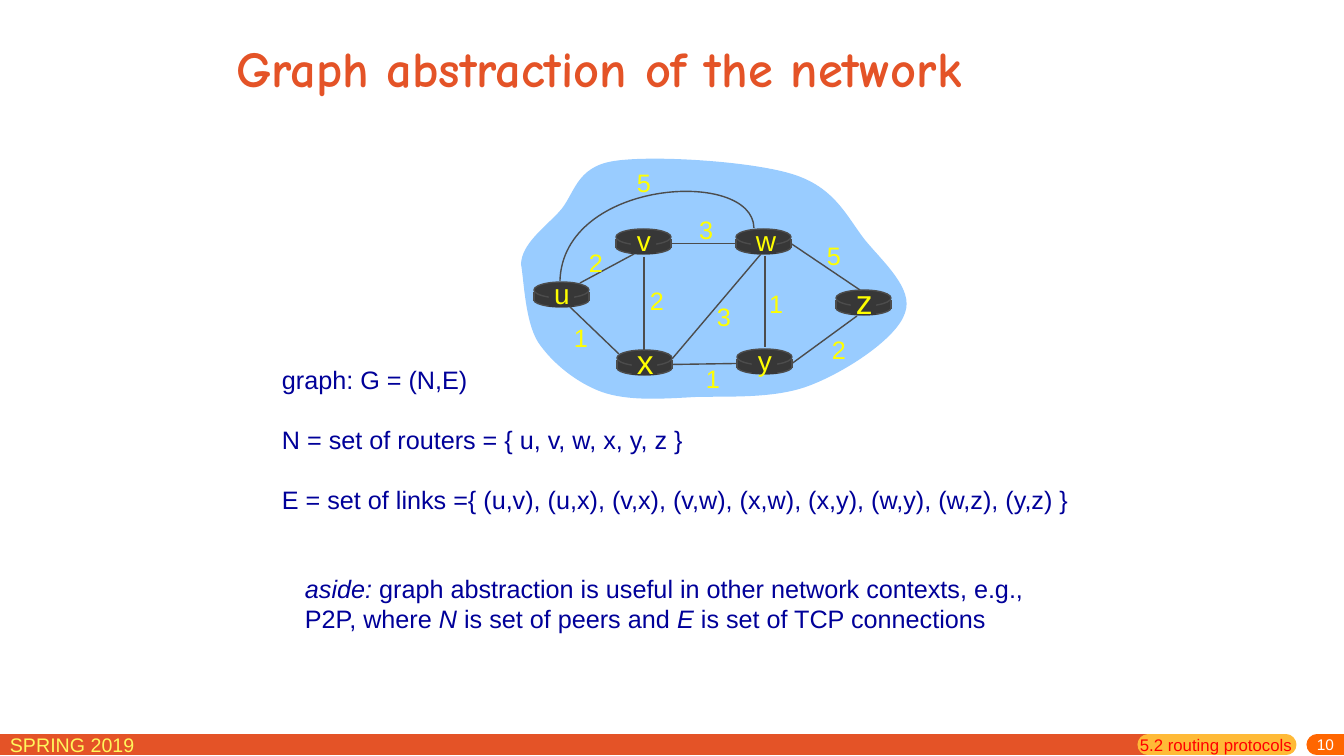
from lxml import etree
from pptx import Presentation
from pptx.dml.color import RGBColor
from pptx.enum.shapes import MSO_CONNECTOR, MSO_SHAPE
from pptx.enum.text import MSO_ANCHOR, PP_ALIGN
from pptx.oxml.ns import qn
from pptx.util import Pt

PX = 12192000 / 1344
STRAIGHT = MSO_CONNECTOR.STRAIGHT
OVAL, RECTANGLE = MSO_SHAPE.OVAL, MSO_SHAPE.RECTANGLE
LEFT, CENTER, RIGHT = PP_ALIGN.LEFT, PP_ALIGN.CENTER, PP_ALIGN.RIGHT
MIDDLE = MSO_ANCHOR.MIDDLE

ORANGE = RGBColor(0xE4, 0x53, 0x27)
AMBER = RGBColor(0xFF, 0xBA, 0x37)
BRIGHT_ORANGE = RGBColor(0xFF, 0x66, 0x00)
PALE_YELLOW = RGBColor(0xFF, 0xF6, 0x5C)
YELLOW = RGBColor(0xFF, 0xFF, 0x00)
WHITE = RGBColor(0xFF, 0xFF, 0xFF)
RED = RGBColor(0xFF, 0x00, 0x00)
NAVY = RGBColor(0x00, 0x00, 0x99)
SKY = RGBColor(0x99, 0xCC, 0xFF)
CHARCOAL = RGBColor(0x37, 0x37, 0x37)
GRAY = RGBColor(0x4C, 0x4C, 0x4C)


def add_line(start, end, color=GRAY, width=1):
    x1, y1, x2, y2 = [round(value * PX) for value in (*start, *end)]
    line = slide.shapes.add_connector(STRAIGHT, x1, y1, x2, y2)
    line.line.color.rgb = color
    line.line.width = Pt(width)
    etree.SubElement(line._element.spPr, qn("a:effectLst"))
    return line


def add_text(box, paragraphs, size, color, align=LEFT, wrap=True):
    """Add a text box; each paragraph is a list of runs, and *marked* runs are italic."""
    shape = slide.shapes.add_textbox(*[round(value * PX) for value in box])
    frame = shape.text_frame
    frame.word_wrap = wrap
    for index, runs in enumerate(paragraphs):
        paragraph = frame.paragraphs[0] if index == 0 else frame.add_paragraph()
        paragraph.alignment = align
        for text in runs:
            run = paragraph.add_run()
            run.text = text.strip("*")
            run.font.italic = text.startswith("*")
            run.font.name = "Arial"
            run.font.size = Pt(size)
            run.font.color.rgb = color
    return frame


presentation = Presentation()
presentation.slide_width = round(1344 * PX)
presentation.slide_height = round(756 * PX)
slide = presentation.slides.add_slide(presentation.slide_layouts[5])

# Title
title = slide.shapes.title
title.left, title.top, title.width, title.height = [round(v * PX) for v in (226, 23, 857, 88)]
title.text_frame.text = "Graph abstraction of the network"
title.text_frame.vertical_anchor = MIDDLE
paragraph = title.text_frame.paragraphs[0]
paragraph.alignment = LEFT
font = paragraph.runs[0].font
font.name, font.size, font.bold = "Comic Neue", Pt(36), True
font.color.rgb = ORANGE

# Footer
for left, right, color, cap in [
    (0, 1148, ORANGE, "flat"),
    (1148, 1286, AMBER, "rnd"),
    (1317, 1344, BRIGHT_ORANGE, "rnd"),
]:
    band = add_line((left, 745), (right, 745), color, 15)
    band.line._get_or_add_ln().set("cap", cap)
add_text((0, 728, 231, 31), [["SPRING 2019"]], 14, PALE_YELLOW)
number = add_text((1084, 738, 260, 18), [["10"]], 11, WHITE, RIGHT)
number.vertical_anchor = MIDDLE
number.margin_top, number.margin_bottom = 0, round(5 * PX)
add_text((1130, 730, 185, 31), [["5.2 routing protocols"]], 12, RED)

# Network cloud and the curved link u-w: a start, then two controls and an end per curve
CLOUD = [
    (521, 264), (522, 244), (543, 229), (559, 212), (575, 195), (575, 167), (614, 161),
    (652, 155), (750, 161), (792, 174), (835, 187), (847, 217), (865, 240),
    (884, 263), (914, 289), (905, 313), (897, 338), (847, 371), (811, 385),
    (776, 399), (730, 396), (695, 397), (660, 399), (628, 401), (602, 392),
    (577, 383), (552, 363), (538, 342), (525, 321), (524, 280), (521, 264),
]
ARC = [(754, 228), (753, 168), (563, 179), (560, 281)]
for curve, closed in [(CLOUD, True), (ARC, False)]:
    builder = slide.shapes.build_freeform(*curve[0], scale=PX)
    builder.add_line_segments(curve[1:], close=closed)
    shape = builder.convert_to_shape()
    segments = list(shape._element.iter(qn("a:lnTo")))
    for first in range(0, len(segments), 3):
        bezier = etree.Element(qn("a:cubicBezTo"))
        segments[first].addprevious(bezier)
        for segment in segments[first:first + 3]:
            bezier.append(segment[0])
            segment.getparent().remove(segment)
    shape.shadow.inherit = False
    if closed:
        shape.fill.solid()
        shape.fill.fore_color.rgb = SKY
        shape.line.fill.background()
    else:
        shape.fill.background()
        shape.line.color.rgb = GRAY
        shape.line.width = Pt(1)

# Routers: base, sides, body, rim, letter plate, letter
ROUTERS = [
    ("u", 534, 282, 20), ("v", 616, 229, 20), ("w", 736, 229, 20),
    ("x", 617, 350, 24), ("y", 737, 349, 20), ("z", 836, 290, 24),
]
PARTS = [
    (OVAL, 0, 11, 55, 14, True), (RECTANGLE, 0, 10, 55, 9, False),
    (OVAL, 0, 0, 55, 16, True), (RECTANGLE, 15, 2, 25, 23, False),
]
bodies = {}
for name, left, top, size in ROUTERS:
    for kind, dx, dy, width, height, outlined in PARTS:
        box = (left + dx, top + dy, width, height)
        shape = slide.shapes.add_shape(kind, *[round(value * PX) for value in box])
        shape.shadow.inherit = False
        shape.fill.solid()
        shape.fill.fore_color.rgb = CHARCOAL
        if outlined:
            shape.line.color.rgb = GRAY
            shape.line.width = Pt(1)
        else:
            shape.line.fill.background()
            bodies.setdefault(name, shape)
    for side in (left, left + 55):
        add_line((side, top + 10), (side, top + 19))
    height = 2 * size + 4
    add_text((left + 10, top + 12 - height // 2, 36, height), [[name]],
             size, YELLOW, CENTER, False)

# Links: ends, then the routers whose right and left sides they join
LINKS = [
    ((580, 283), (634, 254), None, None),
    ((570, 307), (619, 354), None, None),
    ((644, 257), (644, 351), None, None),
    ((672, 359), (761, 254), None, None),
    ((765, 256), (765, 347), None, None),
    ((671, 244), (736, 244), "v", "w"),
    ((672, 365), (737, 364), "x", "y"),
    ((791, 244), (860, 290), "w", None),
    ((792, 364), (857, 316), "y", None),
]
for start, end, right_of, left_of in LINKS:
    link = add_line(start, end)
    if right_of:
        link.begin_connect(bodies[right_of], 3)
    if left_of:
        link.end_connect(bodies[left_of], 1)

# Link costs, centred on these points
COSTS = [
    ("2", 596, 262), ("2", 657, 300), ("1", 581, 337), ("3", 724, 316), ("1", 713, 378),
    ("1", 776, 303), ("2", 839, 349), ("5", 834, 255), ("3", 706, 229), ("5", 644, 182),
]
for cost, x, y in COSTS:
    add_text((x - 17, y - 20, 34, 40), [[cost]], 18, YELLOW, CENTER, False)

# Definitions and aside
definitions = add_text((272, 359, 830, 161), [
    ["graph: G = (N,E)"],
    ["N = set of routers = { u, v, w, x, y, z }"],
    ["E = set of links ={ (u,v), (u,x), (v,x), (v,w), (x,w), (x,y), (w,y), (w,z), (y,z) }"],
], 18, NAVY)
for paragraph in definitions.paragraphs[1:]:
    paragraph.space_before = Pt(21.5)
add_text((295, 568, 760, 71), [
    ["*aside:*", " graph abstraction is useful in other network contexts, e.g.,"],
    ["P2P, where ", "*N*", " is set of peers and ", "*E*", " is set of TCP connections"],
], 18, NAVY)

presentation.save("out.pptx")
